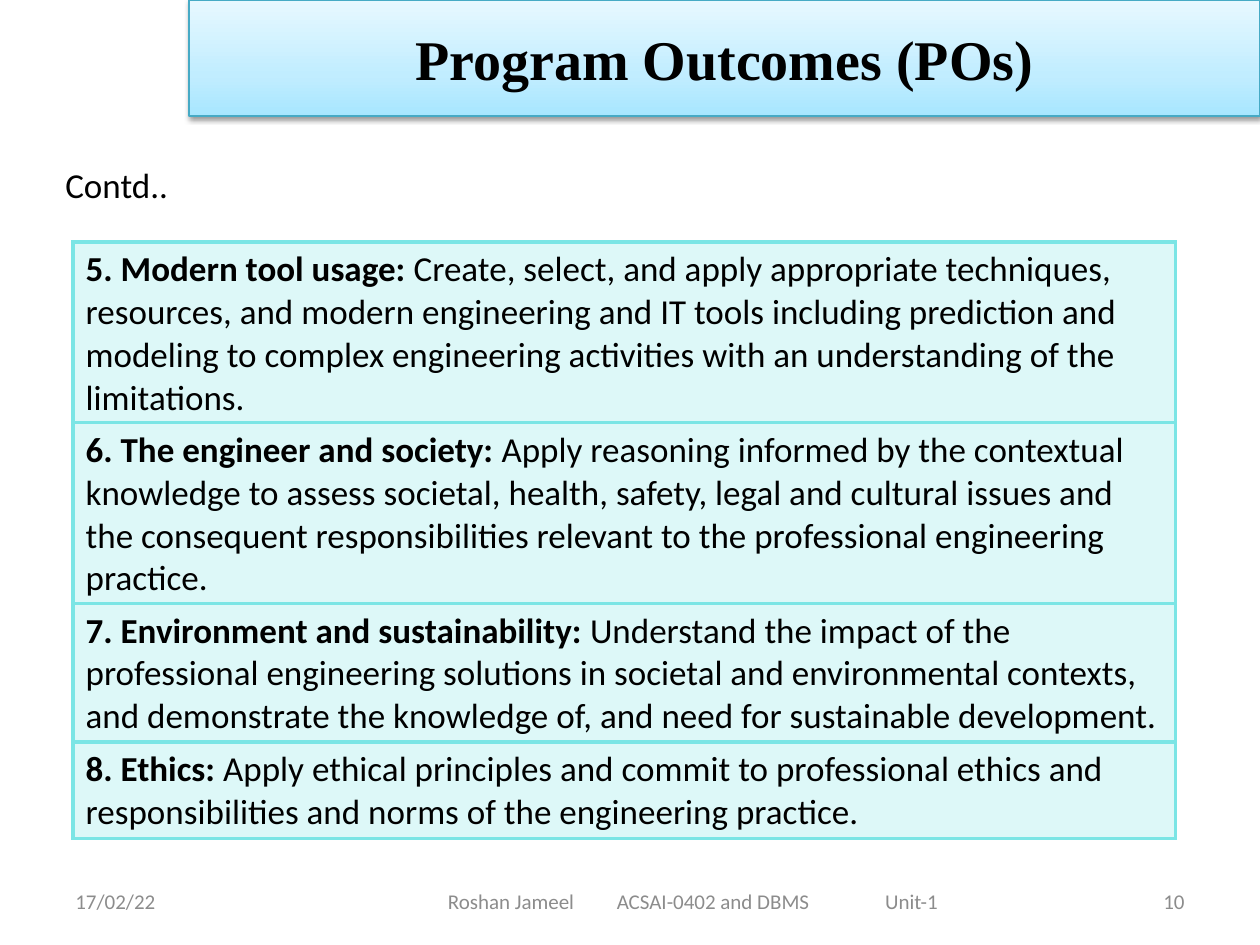
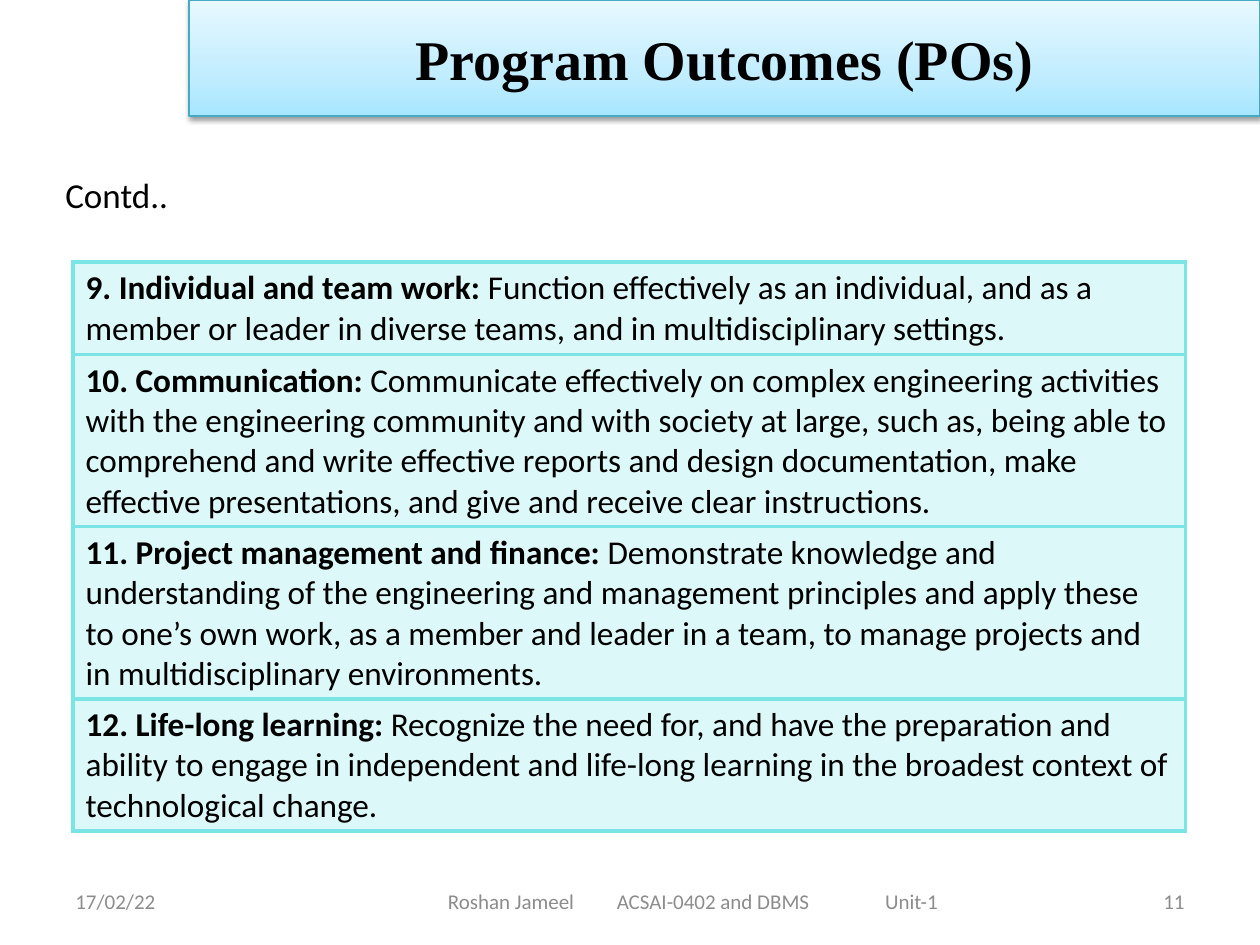
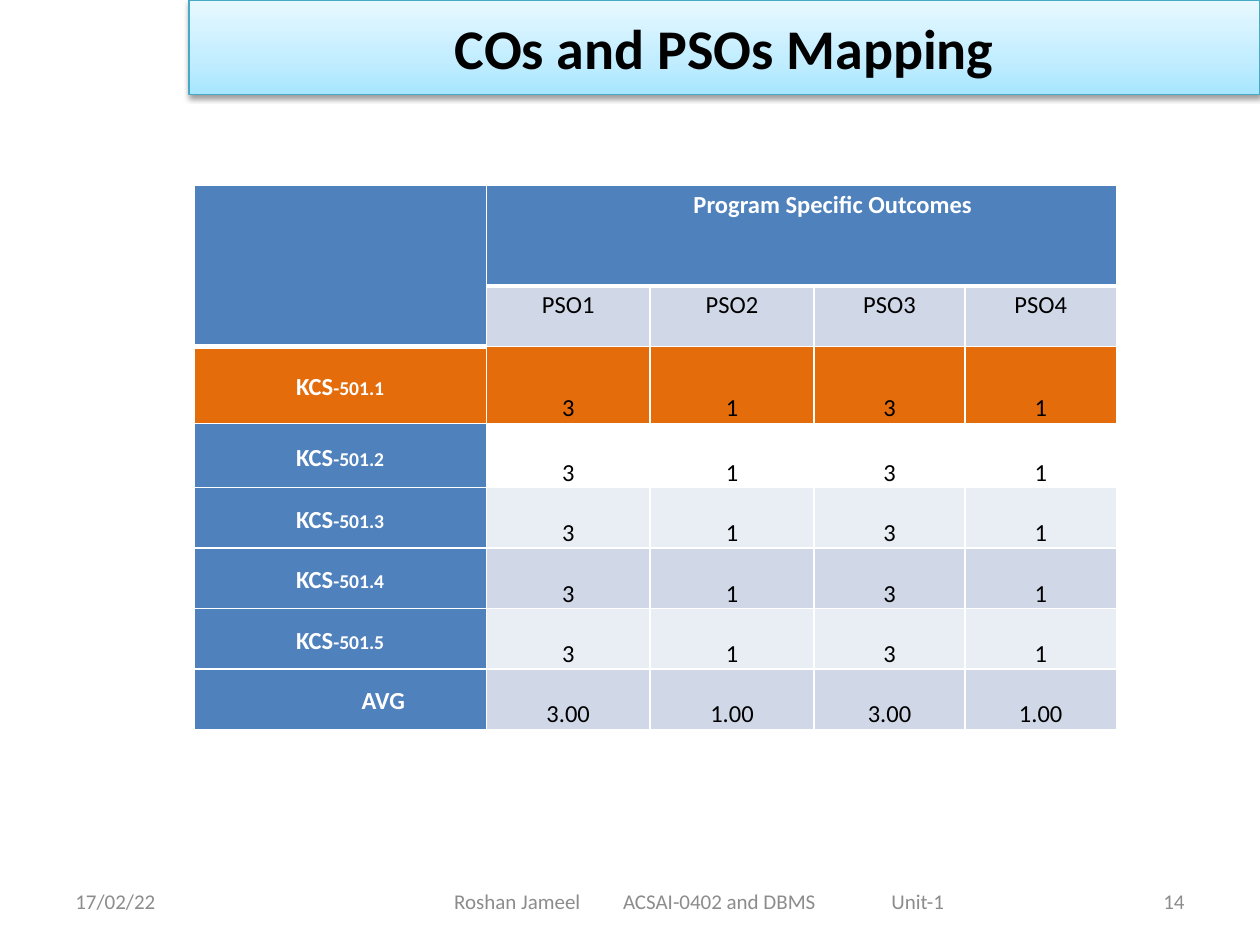
"""Build three slides on program outcomes and their mapping."""
from pptx import Presentation
from pptx.dml.color import RGBColor
from pptx.enum.text import MSO_ANCHOR, PP_ALIGN
from pptx.oxml import parse_xml
from pptx.oxml.ns import nsdecls
from pptx.util import Inches, Pt

LEFT, MID, RIGHT = PP_ALIGN.LEFT, PP_ALIGN.CENTER, PP_ALIGN.RIGHT
TOP, HALF, BASE = MSO_ANCHOR.TOP, MSO_ANCHOR.MIDDLE, MSO_ANCHOR.BOTTOM
HUES = {
    "ink": "000000", "white": "FFFFFF", "grey": "8C8C8C", "edge": "46AAC5",
    "aqua": "7BE5E5", "blue": "4F81BD", "orange": "E46C0A",
    "dark": "D0D8E8", "pale": "E9EDF4",
}
BAND = ((0, "A7E6FF"), (35, "C1EDFF"), (100, "E7F8FF"))
FONT, SERIF = "Calibri", "Times New Roman"
DATE = "17/02/22"
NOTE = "Roshan Jameel\tACSAI-0402 and DBMS\tUnit-1"
NOTE_WIDTH, TABS = 3.89, (1.34, 3.47)
POS = "Program Outcomes (POs)"

TOOLS = [
    ("5. Modern tool usage: ", "Create, select, and apply appropriate techniques, resources, and modern engineering and IT tools including prediction and modeling to complex engineering activities with an understanding of the limitations."),
    ("6. The engineer and society:", " Apply reasoning informed by the contextual knowledge to assess societal, health, safety, legal and cultural issues and the consequent responsibilities relevant to the professional engineering practice."),
    ("7. Environment and sustainability: ", "Understand the impact of the professional engineering solutions in societal and environmental contexts, and demonstrate the knowledge of, and need for sustainable development."),
    ("8. Ethics:", " Apply ethical principles and commit to professional ethics and responsibilities and norms of the engineering practice."),
]
TEAMS = [
    ("9. Individual and team work: ", "Function effectively as an individual, and as a member or leader in diverse teams, and in multidisciplinary settings."),
    ("10. Communication: ", "Communicate effectively on complex engineering activities with the engineering community and with society at large, such as, being able to comprehend and write effective reports and design documentation, make effective presentations, and give and receive clear instructions."),
    ("11. Project management and finance:", " Demonstrate knowledge and understanding of the engineering and management principles and apply these to one’s own work, as a member and leader in a team, to manage projects and in multidisciplinary environments."),
    ("12. Life-long learning: ", "Recognize the need for, and have the preparation and ability to engage in independent and life-long learning in the broadest context of technological change."),
]
MARKS = ("3", "1", "3", "1")
SCORES = [(f"KCS-501.{n}", MARKS) for n in range(1, 6)]
SCORES.append(("AVG", ("3.00", "1.00", "3.00", "1.00")))
ROW_HUES = ("orange", None, "pale", "dark", "pale", "dark")


def node(text):
    """Make a drawing element from its text."""
    tag, gap, rest = text.partition(" ")
    return parse_xml(f"<a:{tag} {nsdecls('a')} {rest}")


class Deck:
    """Hold the style and the current slide."""

    def __init__(self):
        self.prs = Presentation()
        self.prs.slide_width, self.prs.slide_height = Inches(10), Inches(7.5)
        self.slide = None

    def style(self, run, size, hue="ink", bold=False, font=FONT):
        """Format one run."""
        run.font.size, run.font.bold, run.font.name = Pt(size), bold, font
        run.font.color.rgb = RGBColor.from_string(HUES[hue])

    def place(self, shape, left, top, width, height):
        """Set a shape's box in inches."""
        shape.left, shape.top = Inches(left), Inches(top)
        shape.width, shape.height = Inches(width), Inches(height)

    def start(self, title, height, font, page, note_box):
        """Add a slide with its title band and footers."""
        self.slide = self.prs.slides.add_slide(self.prs.slide_layouts[5])
        self.band(title, height, font)
        self.text(DATE, (0.5, 6.95, 2.33, 0.4), 12, "grey", LEFT, HALF)
        self.text(page, (7.17, 6.95, 2.33, 0.4), 12, "grey", RIGHT, HALF)
        self.note(*note_box)

    def band(self, title, height, font):
        """Turn the title placeholder into the shaded band."""
        shape = self.slide.shapes.title
        self.place(shape, 1.5, 0, 8.5, height)
        stops = "".join(
            f'<a:gs pos="{pos * 1000}"><a:srgbClr val="{hue}"/></a:gs>'
            for pos, hue in BAND)
        props = shape._element.spPr
        props.append(node('prstGeom prst="rect"><a:avLst/></a:prstGeom>'))
        props.append(node(
            f'gradFill rotWithShape="1"><a:gsLst>{stops}</a:gsLst>'
            '<a:lin ang="16200000" scaled="0"/></a:gradFill>'))
        shape.line.color.rgb = RGBColor.from_string(HUES["edge"])
        shape.line.width = Pt(0.75)
        props.append(node(
            '''effectLst ><a:outerShdw blurRad="40000" dist="20000"
            dir="5400000" rotWithShape="0"><a:srgbClr val="000000">
            <a:alpha val="38000"/></a:srgbClr></a:outerShdw></a:effectLst>'''))
        frame = shape.text_frame
        frame.text, frame.vertical_anchor = title, HALF
        para = frame.paragraphs[0]
        para.alignment = MID
        self.style(para.runs[0], 32, bold=True, font=font)

    def text(self, words, box, size, hue="ink", align=LEFT, anchor=TOP,
             wrap=True):
        """Add a text box."""
        shape = self.slide.shapes.add_textbox(*map(Inches, box))
        frame = shape.text_frame
        frame.word_wrap, frame.vertical_anchor = wrap, anchor
        frame.text = words
        para = frame.paragraphs[0]
        para.alignment = align
        for run in para.runs:
            self.style(run, size, hue)
        return frame

    def note(self, left, width):
        """Add the tabbed footer, centred in its box."""
        frame = self.text(NOTE, (left, 6.95, width, 0.4), 12, "grey",
                          anchor=HALF)
        frame.margin_left = Inches((width - NOTE_WIDTH) / 2)
        frame.margin_right = 0
        tabs = "".join(f'<a:tab pos="{Inches(tab)}" algn="l"/>'
                       for tab in TABS)
        props = frame.paragraphs[0]._p.get_or_add_pPr()
        props.append(node(f"tabLst >{tabs}</a:tabLst>"))

    def grid(self, left, top, cols, rows):
        """Add a plain table with the given column and row sizes."""
        shape = self.slide.shapes.add_table(
            len(rows), len(cols), Inches(left), Inches(top),
            Inches(sum(cols)), Inches(sum(rows)))
        table = shape.table
        table.first_row = table.horz_banding = False
        for col, width in zip(table.columns, cols):
            col.width = Inches(width)
        for row, height in zip(table.rows, rows):
            row.height = Inches(height)
        return shape

    def paint(self, cell, fill, line, width, alpha=None, **sides):
        """Fill a cell and draw its four borders."""
        props = cell._tc.get_or_add_tcPr()
        if fill:
            cell.fill.solid()
            cell.fill.fore_color.rgb = RGBColor.from_string(HUES[fill])
        else:
            cell.fill.background()
        if alpha:
            props[0][0].append(node(f'alpha val="{alpha * 1000}"/>'))
        for spot, side in enumerate("LRTB"):
            size = Pt(sides.get(side, width))
            props.insert(spot, node(
                f'ln{side} w="{size}"><a:solidFill><a:srgbClr '
                f'val="{HUES[line]}"/></a:solidFill></a:ln{side}>'))

    def label(self, cell, words, hue="ink", bold=False, anchor=TOP, after=0,
              indent=0):
        """Put centred text in a mapping cell."""
        cell.text, cell.vertical_anchor = words, anchor
        cell.margin_left = cell.margin_right = Inches(0.07)
        cell.margin_top = cell.margin_bottom = 0
        para = cell.text_frame.paragraphs[0]
        para.alignment, para.line_spacing = MID, 1.15
        para.space_after = Pt(after)
        if indent:
            para._p.get_or_add_pPr().set("marL", str(Inches(indent)))
        self.style(para.runs[0], 14, hue, bold)

    def goals(self, items, top, width, height, size):
        """Add the one-column table of outcomes."""
        shape = self.grid(0.58, top, [width], [0.41] * len(items))
        shape.height = Inches(height)
        for row, (head, rest) in enumerate(items):
            cell = shape.table.cell(row, 0)
            para = cell.text_frame.paragraphs[0]
            for words, bold in ((head, True), (rest, False)):
                run = para.add_run()
                run.text = words
                self.style(run, size, bold=bold)
            self.paint(cell, "aqua", "aqua", 2.25, alpha=25)

    def scores(self):
        """Add the table that maps courses to specific outcomes."""
        cols = [2.32, 1.3, 1.3, 1.2, 1.2]
        rows = [0.8, 0.48, 0.61, 0.51] + [0.48] * 4
        table = self.grid(1.54, 1.47, cols, rows).table
        table.cell(0, 0).merge(table.cell(1, 0))
        table.cell(0, 1).merge(table.cell(0, 4))
        for col in range(2):
            self.paint(table.cell(0, col), "blue", "white", 1, B=3)
        self.label(table.cell(0, 1), "Program Specific Outcomes", "white",
                   True, after=10, indent=0.5)
        for col in range(1, 5):
            cell = table.cell(1, col)
            self.label(cell, f"PSO{col}")
            self.paint(cell, "dark", "white", 1, T=3)
        for row, ((name, marks), hue) in enumerate(zip(SCORES, ROW_HUES), 2):
            head = table.cell(row, 0)
            self.label(head, name, "white", True, HALF,
                       indent=0.34 if name == "AVG" else 0)
            run = head.text_frame.paragraphs[0].runs[0]
            run._r.get_or_add_rPr().set("cap", "small")
            self.paint(head, "orange" if hue == "orange" else "blue",
                       "white", 1, T=3 if row == 2 else 1)
            for col, mark in enumerate(marks, 1):
                cell = table.cell(row, col)
                self.label(cell, mark, anchor=BASE, after=10)
                self.paint(cell, hue, "white", 1)


def main():
    """Build and save the deck."""
    deck = Deck()
    deck.start(POS, 0.92, SERIF, "10", (2.75, 5.5))
    deck.text("Contd..", (0.42, 1.25, 1.02, 0.44), 20, wrap=False)
    deck.goals(TOOLS, 1.92, 8.75, 4.73, 20)

    deck.start(POS, 0.92, SERIF, "11", (2.75, 5.5))
    deck.text("Contd..", (0.42, 1.33, 1.02, 0.44), 20, wrap=False)
    deck.goals(TEAMS, 2.08, 8.83, 4.52, 19)

    deck.start("COs and PSOs Mapping", 0.75, FONT, "14", (2.48, 6.14))
    deck.scores()
    deck.prs.save("out.pptx")


if __name__ == "__main__":
    main()
